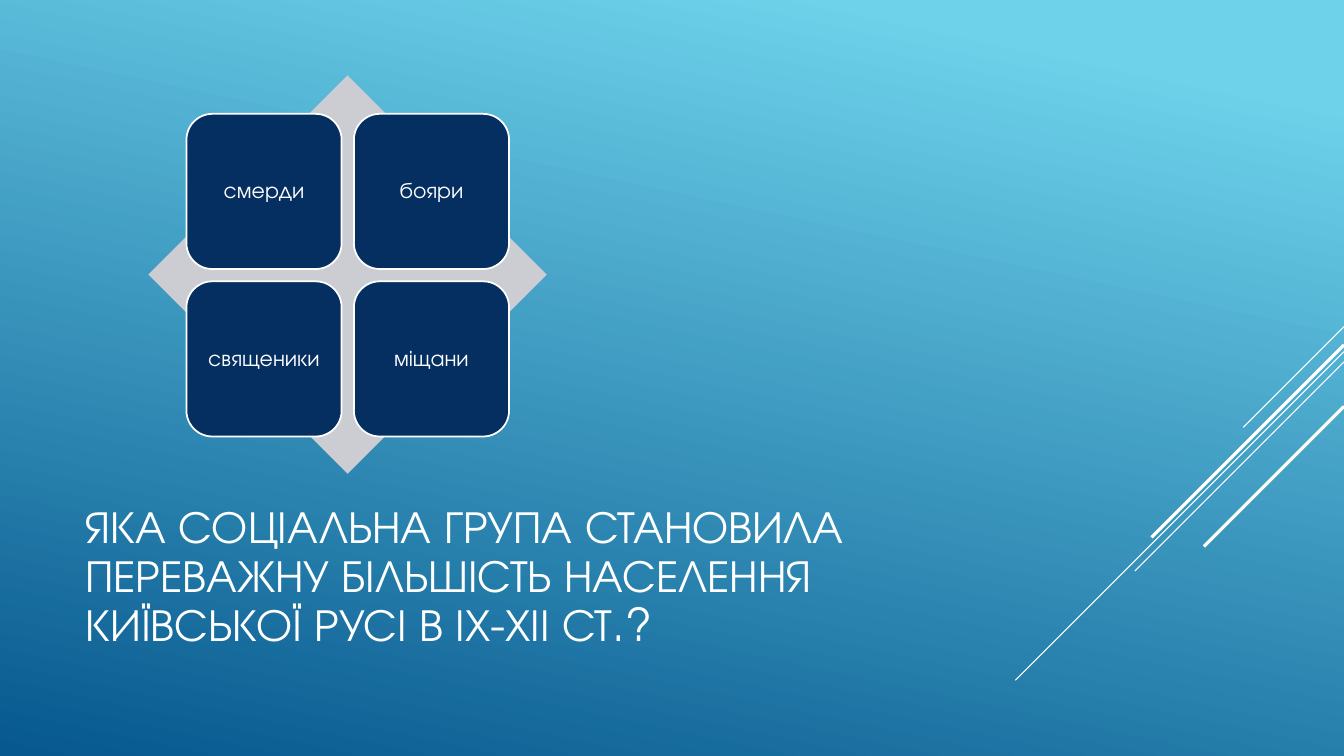
from dataclasses import dataclass

from pptx import Presentation
from pptx.dml.color import RGBColor as Rgb
from pptx.enum.shapes import MSO_CONNECTOR as Link, MSO_SHAPE as Kind
from pptx.enum.text import MSO_ANCHOR as Anchor, MSO_AUTO_SIZE as Fit, PP_ALIGN as Align
from pptx.oxml import parse_xml
from pptx.oxml.ns import nsdecls
from pptx.shapes.autoshape import Shape
from pptx.slide import Slide
from pptx.text.text import TextFrame
from pptx.util import Cm, Pt

FONT = "TeX Gyre Adventor"
WIDTH, HEIGHT = 33.87, 19.05
HUES = {
    "sky": "6ED2EB",
    "sea": "06588E",
    "navy": "052F61",
    "gray": "CCCDD2",
    "white": "FFFFFF",
}
TITLE = "ЯКА СОЦІАЛЬНА ГРУПА СТАНОВИЛА ПЕРЕВАЖНУ БІЛЬШІСТЬ НАСЕЛЕННЯ КИЇВСЬКОЇ РУСІ В ІХ-ХІІ СТ.?"


@dataclass
class Ray:
    top: float
    reach: float
    weight: float


@dataclass
class Card:
    label: str
    row: int
    col: int


RAYS = [
    Ray(8.23, 2.54, 0.75),
    Ray(8.86, 8.28, 0.75),
    Ray(9.12, 5.27, 0.75),
    Ray(8.69, 4.85, 2.25),
    Ray(10.24, 3.53, 2.25),
]
GROUPS = ["смерди", "бояри", "священики", "міщани"]
CARDS = [Card(label, *divmod(i, 2)) for i, label in enumerate(GROUPS)]
LEFT, TOP, SIDE, STEP = 4.7, 2.87, 3.91, 4.22


def hue(name: str) -> Rgb:
    return Rgb.from_string(HUES[name])


def paint(slide: Slide) -> None:
    fill = slide.background.fill
    fill.gradient()
    fill.gradient_angle = 258
    for stop, name, place in zip(fill.gradient_stops, ("sky", "sea"), (0.1, 1)):
        stop.color.rgb = hue(name)
        stop.position = place


def style(frame: TextFrame, size: float, align: Align, space: float) -> None:
    frame.word_wrap = True
    frame.auto_size = Fit.NONE
    frame.vertical_anchor = Anchor.MIDDLE
    for para in frame.paragraphs:
        para.alignment = align
        para.line_spacing = space
        for run in para.runs:
            run.font.name = FONT
            run.font.size = Pt(size)
            run.font.color.rgb = hue("white")


def draw_ray(slide: Slide, ray: Ray) -> None:
    line = slide.shapes.add_connector(
        Link.STRAIGHT, Cm(WIDTH), Cm(ray.top), Cm(WIDTH - ray.reach), Cm(ray.top + ray.reach)
    )
    line.line.color.rgb = hue("white")
    line.line.width = Pt(ray.weight)
    line._element.spPr.append(parse_xml(f"<a:effectLst {nsdecls('a')}/>"))


def add_block(slide: Slide, kind: Kind, left: float, top: float, side: float, name: str) -> Shape:
    block = slide.shapes.add_shape(kind, Cm(left), Cm(top), Cm(side), Cm(side))
    block.shadow.inherit = False
    block.fill.solid()
    block.fill.fore_color.rgb = hue(name)
    block.line.fill.background()
    return block


def draw_card(slide: Slide, card: Card) -> None:
    left, top = LEFT + card.col * STEP, TOP + card.row * STEP
    block = add_block(slide, Kind.ROUNDED_RECTANGLE, left, top, SIDE, "navy")
    block.line.color.rgb = hue("white")
    block.line.width = Pt(1.25)
    block.text_frame.text = card.label
    style(block.text_frame, 16, Align.CENTER, 0.9)


def set_title(slide: Slide) -> None:
    title = slide.shapes.title
    title.left, title.top = Cm(1.9), Cm(12.47)
    title.width, title.height = Cm(23.7), Cm(4.19)
    title.text_frame.text = TITLE
    style(title.text_frame, 32.4, Align.LEFT, 0.9)


def main() -> None:
    deck = Presentation()
    deck.slide_width, deck.slide_height = Cm(WIDTH), Cm(HEIGHT)
    slide = deck.slides.add_slide(deck.slide_layouts[5])
    paint(slide)
    for ray in RAYS:
        draw_ray(slide, ray)
    set_title(slide)
    add_block(slide, Kind.DIAMOND, 3.74, 1.9, 10.04, "gray")
    for card in CARDS:
        draw_card(slide, card)
    deck.save("out.pptx")


if __name__ == "__main__":
    main()
